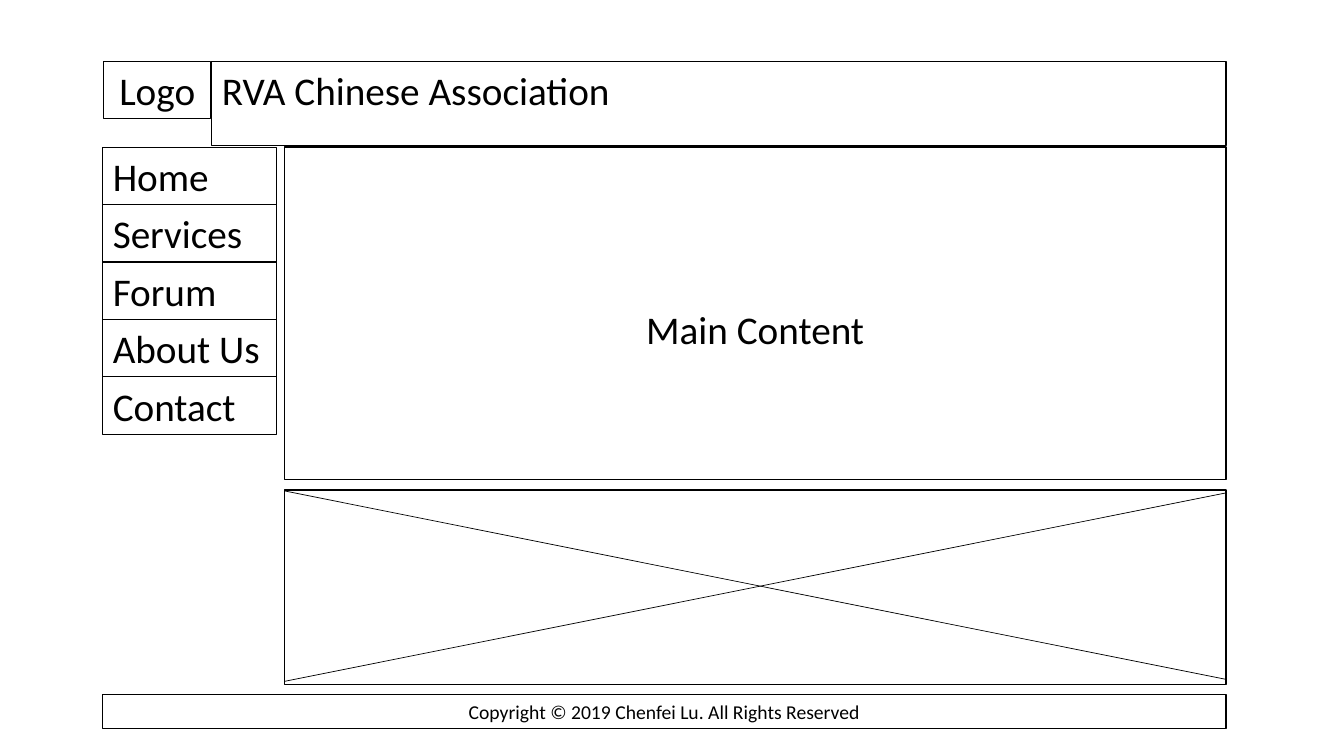
from pptx import Presentation
from pptx.dml.color import RGBColor
from pptx.enum.shapes import MSO_CONNECTOR, MSO_SHAPE
from pptx.enum.text import MSO_ANCHOR, MSO_AUTO_SIZE, PP_ALIGN
from pptx.oxml.ns import qn
from pptx.util import Pt
from lxml import etree

PX = 9144
BLACK = RGBColor(0x00, 0x00, 0x00)
WHITE = RGBColor(0xFF, 0xFF, 0xFF)
LEFT, CENTER = PP_ALIGN.LEFT, PP_ALIGN.CENTER
TOP = MSO_ANCHOR.TOP
GROW = MSO_AUTO_SIZE.SHAPE_TO_FIT_TEXT
RECTANGLE = MSO_SHAPE.RECTANGLE
STRAIGHT = MSO_CONNECTOR.STRAIGHT

PAGE_LEFT, PAGE_RIGHT = 102, 1216
CONTENT_LEFT = 282
CONTENT_WIDTH = PAGE_RIGHT - CONTENT_LEFT
HEADER_TOP, NAV_TOP = 61, 146
ROW_HEIGHT = 57


def emu(*lengths):
    return [length * PX for length in lengths]


def label(box, text, place, align=LEFT, size=28, border=BLACK):
    box.left, box.top, box.width, box.height = emu(*place)
    box.line.color.rgb = border
    box.line.width = Pt(0.75)
    frame = box.text_frame
    frame.text = text
    frame.word_wrap = True
    frame.auto_size = GROW
    frame.vertical_anchor = TOP
    paragraph = frame.paragraphs[0]
    paragraph.alignment = align
    paragraph.line_spacing = 1.0
    font = paragraph.runs[0].font
    font.name = "Calibri"
    font.size = Pt(size)
    font.color.rgb = BLACK


prs = Presentation()
prs.slide_width, prs.slide_height = emu(1333, 750)
slide = prs.slides.add_slide(prs.slide_layouts[5])
shapes = slide.shapes

label(shapes.title, "RVA Chinese Association", (210, HEADER_TOP, 1006, ROW_HEIGHT))

labels = [
    ("Logo", (103, HEADER_TOP, 106, ROW_HEIGHT), CENTER, 28, BLACK),
    ("Main Content", (567, 298, 364, ROW_HEIGHT), CENTER, 28, WHITE),
    ("Copyright © 2019 Chenfei Lu. All Rights Reserved",
     (PAGE_LEFT, 689, PAGE_RIGHT - PAGE_LEFT, 34), CENTER, 14, BLACK),
]
for row, page in enumerate(["Home", "Services", "Forum", "About Us", "Contact"]):
    place = (PAGE_LEFT, NAV_TOP + row * ROW_HEIGHT, 172, ROW_HEIGHT)
    labels.append((page, place, LEFT, 28, BLACK))
for text, place, align, size, border in labels:
    label(shapes.add_textbox(*emu(*place)), text, place, align, size, border)

for top, height in [(NAV_TOP, 330), (486, 193)]:
    panel = shapes.add_shape(RECTANGLE, *emu(CONTENT_LEFT, top, CONTENT_WIDTH, height))
    panel.shadow.inherit = False
    panel.fill.background()
    panel.line.color.rgb = BLACK
    panel.line.width = Pt(1)

for start, end in [(676, 489), (487, 674)]:
    diagonal = shapes.add_connector(STRAIGHT, *emu(CONTENT_LEFT, start, PAGE_RIGHT, end))
    diagonal.line.color.rgb = BLACK
    diagonal.line.width = Pt(0.5)
    etree.SubElement(diagonal._element.spPr, qn("a:effectLst"))

prs.save("out.pptx")
